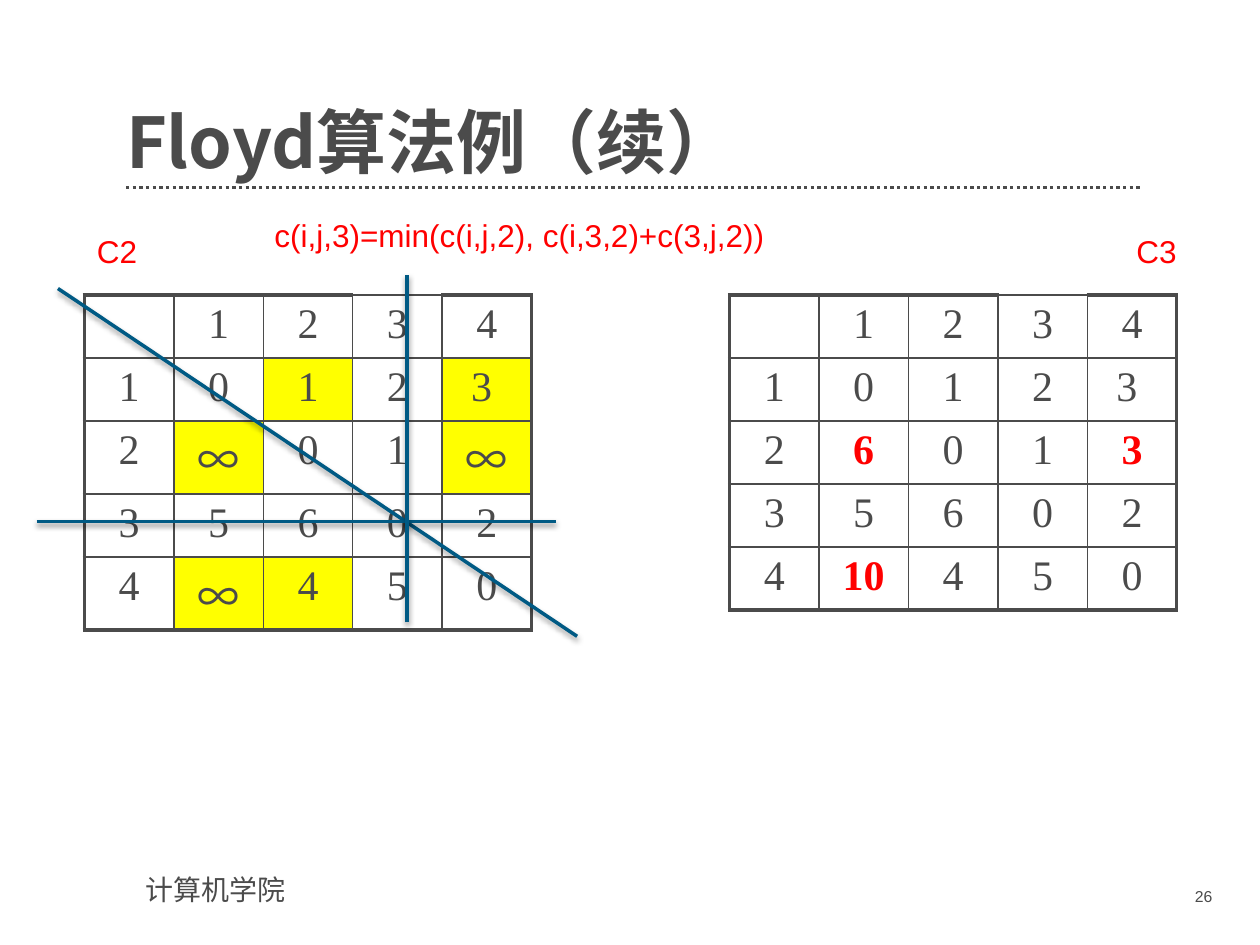
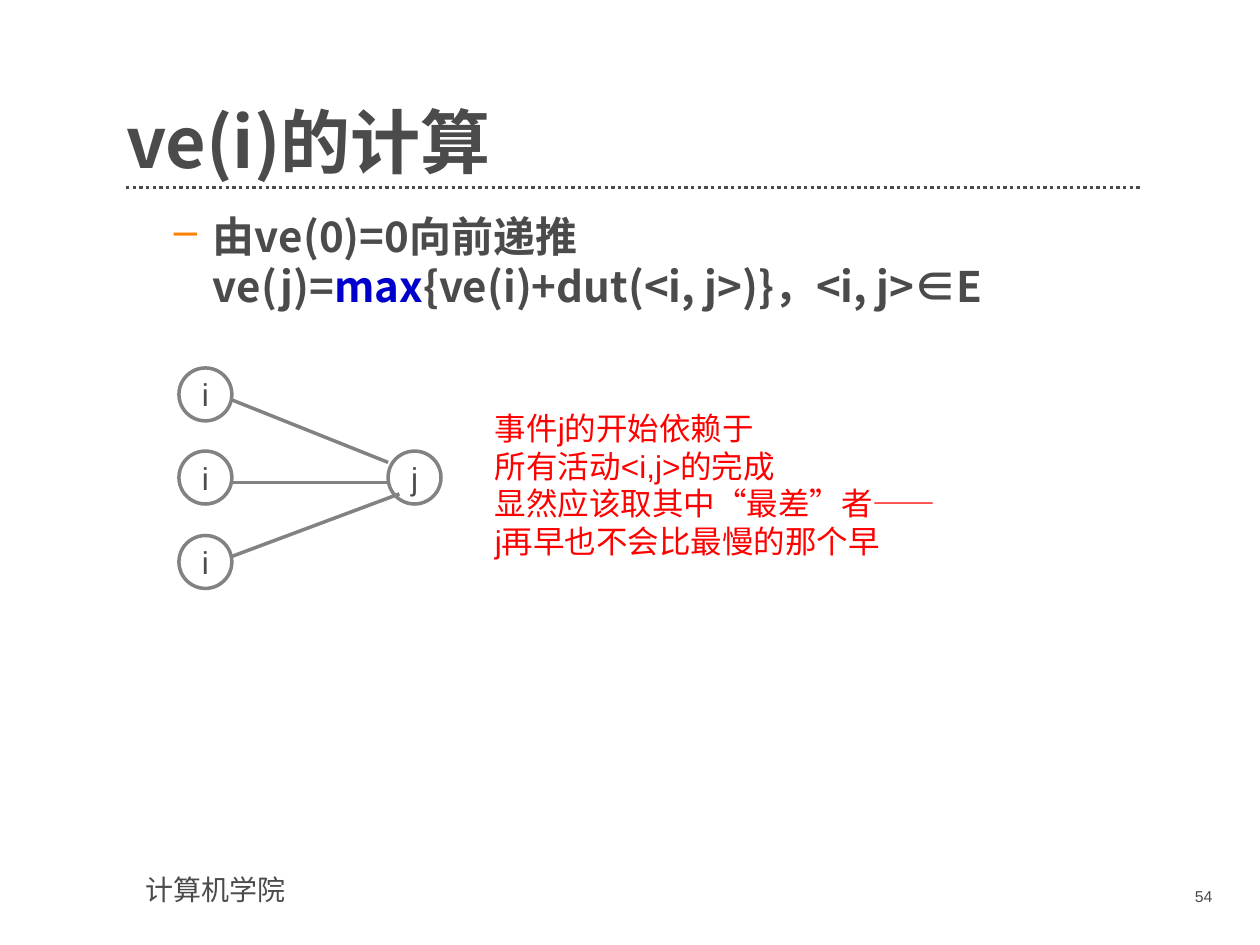
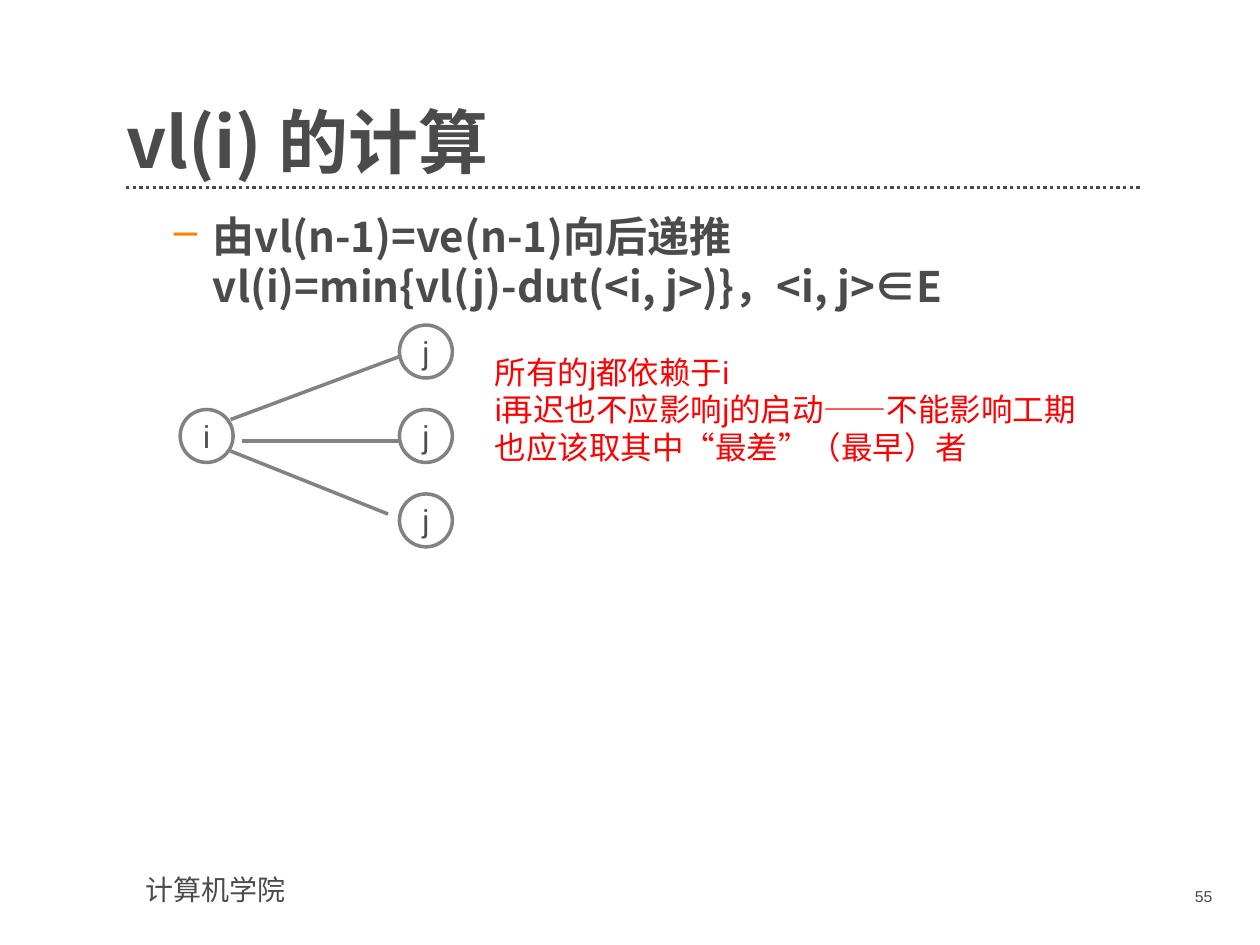
import pptx
import pptx.dml.color
import pptx.enum.shapes
import pptx.enum.text
import pptx.oxml
import pptx.oxml.ns
import pptx.util
import lxml.etree

Inches = pptx.util.Inches
Pt = pptx.util.Pt
colour = pptx.dml.color.RGBColor.from_string
qn = pptx.oxml.ns.qn
align = pptx.enum.text.PP_ALIGN
anchor = pptx.enum.text.MSO_ANCHOR

INK, RED, BLUE, GREY = "4B4B4B", "FF0000", "005A84", "828282"
YELLOW, ORANGE, NAVY = "FFFF00", "FF8000", "0000CC"
CJK = "Noto Sans CJK SC"
NAMESPACE = 'xmlns:a="http://schemas.openxmlformats.org/drawingml/2006/main"'
TITLE = {"size": Pt(40), "name": CJK, "bold": True, "color": INK}
BODY = {"size": Pt(24), "name": CJK, "bold": True, "color": INK}
NOTE = {"size": Pt(18), "name": "Arial", "color": RED}
NODE = {"size": Pt(18), "name": "Arial", "color": INK}
CELL = {"size": Pt(24), "name": "Times New Roman", "color": INK}
FOOTER = {"size": Pt(16), "name": "Arial", "color": INK}
NUMBER = {"size": Pt(9), "name": "Arial", "color": INK}
SHADOW = (f'<a:effectLst {NAMESPACE}><a:outerShdw blurRad="39370" dist="20320" dir="5400000" rotWithShape="0">'
          '<a:srgbClr val="000000"><a:alpha val="38000"/></a:srgbClr></a:outerShdw></a:effectLst>')
NO_SHADOW = f"<a:effectLst {NAMESPACE}/>"


def write_text(frame, parts, style, **paragraph_format):
    paragraph = frame.paragraphs[0]
    for key, value in paragraph_format.items():
        setattr(paragraph, key, value)
    for text, changes in parts:
        for index, line in enumerate(text.split("\n")):
            if index:
                paragraph.add_line_break()
            run = paragraph.add_run()
            run.text = line
            for key, value in {**style, **changes}.items():
                if key == "color":
                    run.font.color.rgb = colour(value)
                else:
                    setattr(run.font, key, value)
            east_asian = lxml.etree.SubElement(run.font._element, qn("a:ea"))
            east_asian.set("typeface", CJK)
    return paragraph


def add_line(slide, start, end, line_colour, width=2, effect=NO_SHADOW):
    points = [Inches(value) for value in (*start, *end)]
    line = slide.shapes.add_connector(pptx.enum.shapes.MSO_CONNECTOR.STRAIGHT, *points)
    line.line.color.rgb = colour(line_colour)
    line.line.width = Pt(width)
    line.element.spPr.append(pptx.oxml.parse_xml(effect))
    return line


presentation = pptx.Presentation()
presentation.slide_width, presentation.slide_height = Inches(10), Inches(7.5)
layout = presentation.slide_layouts[5]

slides = []
for title_text, number in [("Floyd算法例（续）", 26), ("ve(i)的计算", 54), ("vl(i) 的计算", 55)]:
    slide = presentation.slides.add_slide(layout)
    slides.append(slide)
    title = slide.shapes.title
    placement = {"left": 1, "top": 0.55, "width": 8.06, "height": 0.91}
    for key, value in placement.items():
        setattr(title, key, Inches(value))
    frame_format = {"margin_left": 0, "margin_top": 0, "margin_right": 0, "margin_bottom": 0,
                    "vertical_anchor": anchor.BOTTOM, "word_wrap": True,
                    "auto_size": pptx.enum.text.MSO_AUTO_SIZE.NONE}
    for key, value in frame_format.items():
        setattr(title.text_frame, key, value)
    write_text(title.text_frame, [(title_text, {})], TITLE, alignment=align.LEFT, line_spacing=0.9)
    number_box = slide.shapes.add_textbox(Inches(8.73), Inches(6.99), Inches(0.99), Inches(0.29))
    write_text(number_box.text_frame, [(str(number), {})], NUMBER, alignment=align.RIGHT)

rule = add_line(slides[0], (1, 1.49), (9.06, 1.49), INK, 1.9)
rule.line.dash_style = pptx.enum.dml.MSO_LINE.ROUND_DOT
footer = slides[0].shapes.add_textbox(Inches(1.06), Inches(6.88), Inches(2.56), Inches(0.37))
footer.text_frame.word_wrap = True
write_text(footer.text_frame, [("计算机学院", {})], FOOTER)
for shared in (rule, footer):
    layout.shapes.element.append(shared.element)

notes = [
    (0, 0.67, 1.79, 0.75, 0.4, "C2"),
    (0, 2.08, 1.67, 7.58, 0.4, "c(i,j,3)=min(c(i,j,2), c(i,3,2)+c(3,j,2))"),
    (0, 8.92, 1.79, 0.75, 0.4, "C3"),
    (1, 3.83, 3.2, 4.67, 1.31,
     "事件j的开始依赖于\n所有活动<i,j>的完成\n显然应该取其中“最差”者——\nj再早也不会比最慢的那个早"),
    (2, 3.83, 2.75, 4.83, 1.01,
     "所有的j都依赖于i\ni再迟也不应影响j的启动——不能影响工期\n也应该取其中“最差”（最早）者"),
]
for index, left, top, width, height, text in notes:
    note = slides[index].shapes.add_textbox(Inches(left), Inches(top), Inches(width), Inches(height))
    note.text_frame.word_wrap = True
    write_text(note.text_frame, [(text, {})], NOTE, line_spacing=Pt(21.5))

matrices = [
    (0.67, [0.47, 0.47, 0.58, 0.47, 0.58],
     [["", "1", "2", "3", "4"], ["1", "0", "1", "2", "3 "], ["2", "∞", "0", "1", "∞"],
      ["3", "5", "6", "0", "2"], ["4", "∞", "4", "5", "0"]],
     {(1, 2), (1, 4), (2, 1), (2, 4), (4, 1), (4, 2)}, set()),
    (5.79, [0.5] * 5,
     [["", "1", "2", "3", "4"], ["1", "0", "1", "2", "3 "], ["2", "6", "0", "1", "3"],
      ["3", "5", "6", "0", "2"], ["4", "10", "4", "5", "0"]],
     set(), {(2, 1), (2, 4), (4, 1)}),
]
for left, row_heights, values, highlighted, updated in matrices:
    table = slides[0].shapes.add_table(5, 5, Inches(left), Inches(2.34), Inches(3.54),
                                       Inches(sum(row_heights))).table
    table.first_row = table.horz_banding = False
    for column in table.columns:
        column.width = Inches(0.71)
    for row, height in enumerate(row_heights):
        table.rows[row].height = Inches(height)
        for column, value in enumerate(values[row]):
            cell = table.cell(row, column)
            properties = cell._tc.get_or_add_tcPr()
            thick = {"L": column == 0, "R": column == 4, "T": row == 0 and column != 3, "B": row == 4}
            for side, is_thick in thick.items():
                width = Pt(2.25 if is_thick else 1)
                properties.append(pptx.oxml.parse_xml(
                    f'<a:ln{side} {NAMESPACE} w="{width}"><a:solidFill><a:srgbClr val="{INK}"/>'
                    f'</a:solidFill></a:ln{side}>'))
            if (row, column) in highlighted:
                cell.fill.solid()
                cell.fill.fore_color.rgb = colour(YELLOW)
            else:
                cell.fill.background()
            changes = {"color": RED, "bold": True} if (row, column) in updated else {}
            if value == "∞":
                changes = {"name": CJK}
            if value:
                write_text(cell.text_frame, [(value, changes)], CELL, alignment=align.CENTER)

for start, end in [((0.46, 2.29), (4.58, 5.05)), ((0.29, 4.14), (4.41, 4.14)), ((3.23, 4.94), (3.23, 2.18))]:
    add_line(slides[0], start, end, BLUE, effect=SHADOW)

recurrences = [
    (slides[1], [("由ve(0)=0向前递推\nve(j)=", {}), ("max", {"color": NAVY}),
                 ("{ve(i)+dut(<i, j>)}，<i, j>∈E", {})]),
    (slides[2], [("由vl(n-1)=ve(n-1)向后递推\nvl(i)=min{vl(j)-dut(<i, j>)}，<i, j>∈E", {})]),
]
for slide, parts in recurrences:
    body = slide.shapes.add_textbox(Inches(1), Inches(1.67), Inches(8.06), Inches(5))
    frame_format = {"margin_left": 0, "margin_top": 0, "margin_right": Inches(0.2),
                    "margin_bottom": 0, "word_wrap": True}
    for key, value in frame_format.items():
        setattr(body.text_frame, key, value)
    paragraph = write_text(body.text_frame, parts, BODY, level=1, line_spacing=Pt(28.6))
    properties = paragraph._p.get_or_add_pPr()
    properties.set("marL", str(Inches(0.69)))
    properties.set("indent", str(Inches(-0.31)))
    for bullet in (f'<a:buClr {NAMESPACE}><a:srgbClr val="{ORANGE}"/></a:buClr>',
                   f'<a:buChar {NAMESPACE} char="–"/>'):
        properties.append(pptx.oxml.parse_xml(bullet))

graphs = [
    (slides[1],
     [((1.83, 3.17), (3.08, 3.67)), ((1.83, 3.83), (3.08, 3.83)), ((1.83, 4.42), (3.17, 3.92))],
     [("i", 1.42, 2.92), ("i", 1.42, 3.58), ("i", 1.42, 4.25), ("j", 3.08, 3.58)]),
    (slides[2],
     [((1.83, 3.58), (3.08, 4.08)), ((1.92, 3.5), (3.17, 3.5)), ((1.83, 3.33), (3.17, 2.83))],
     [("j", 3.17, 2.58), ("j", 3.17, 3.25), ("j", 3.17, 3.92), ("i", 1.43, 3.25)]),
]
for slide, edges, nodes in graphs:
    for start, end in edges:
        add_line(slide, start, end, GREY)
    for label, left, top in nodes:
        node = slide.shapes.add_shape(pptx.enum.shapes.MSO_SHAPE.OVAL, Inches(left), Inches(top),
                                      Inches(0.42), Inches(0.42))
        node.shadow.inherit = False
        node.fill.background()
        node.line.color.rgb = colour(GREY)
        node.line.width = Pt(2)
        node.text_frame.word_wrap = False
        node.text_frame.vertical_anchor = anchor.MIDDLE
        write_text(node.text_frame, [(label, {})], NODE, alignment=align.CENTER)

presentation.save("out.pptx")
